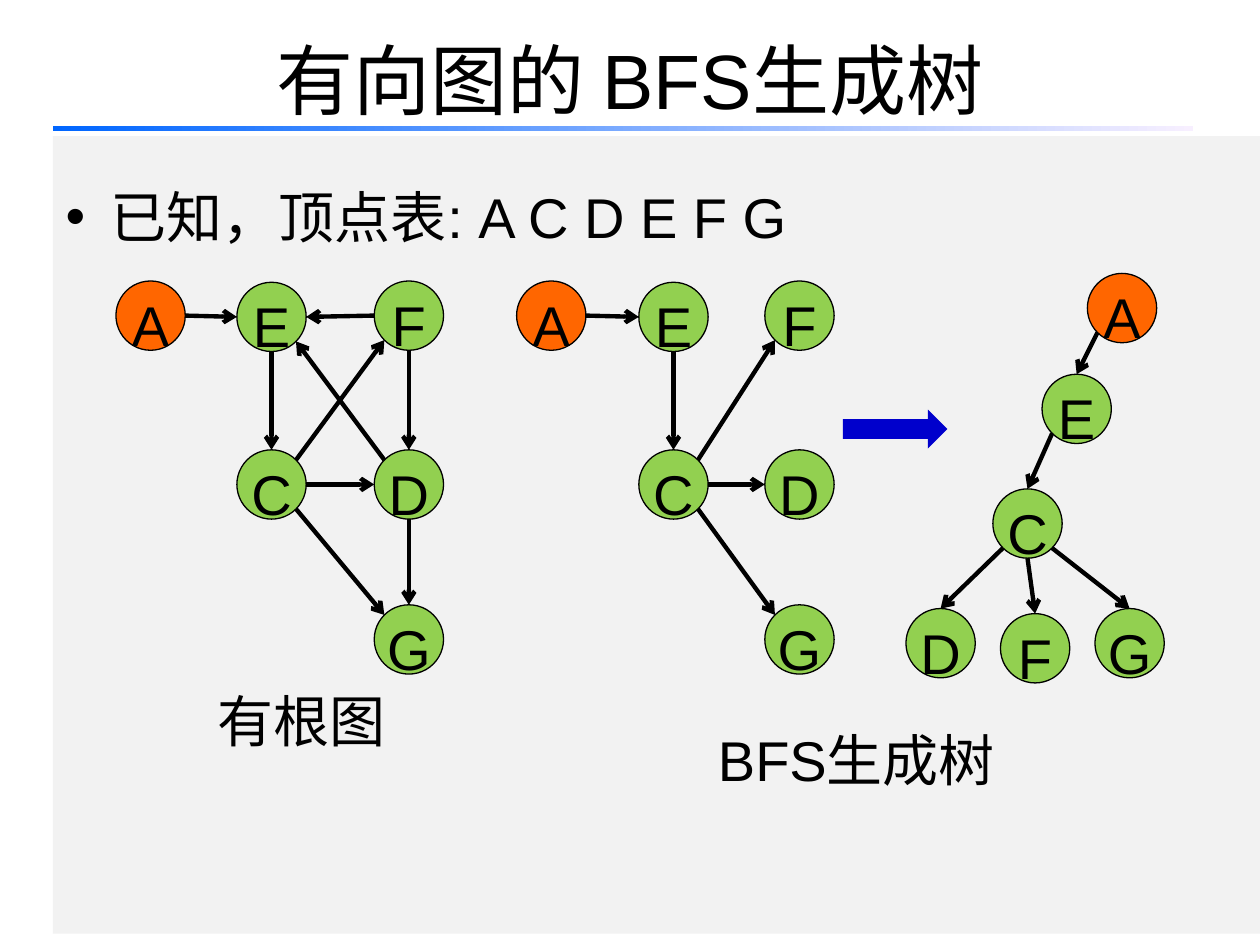
import math
from dataclasses import dataclass

from lxml import etree
from pptx import Presentation
from pptx.dml.color import RGBColor
from pptx.enum import shapes, text
from pptx.oxml import ns
from pptx.util import Inches, Pt


@dataclass(frozen=True)
class Theme:
    font: str = "Arial"
    title_size: float = 44
    body_size: float = 32
    ink: str = "000000"
    panel: str = "F2F2F2"
    root: str = "FF6600"
    vertex: str = "92D050"
    arrow: str = "0000CC"
    rule_start: str = "0066FF"
    rule_end: str = "F7EFFF"
    outline: float = 0.75
    edge: float = 2.5


THEME = Theme()
DIAMETER = 0.55
# Angle of each joint on a vertex, clockwise from the right
JOINTS = {"right": 0, "lower right": 45, "bottom": 90, "lower left": 135,
          "left": 180, "upper left": 225, "top": 270, "upper right": 315}

# Each graph: top left corner of every vertex, then edges with their joints
ROOTED_VERTICES = {"A": (0.92, 2.23), "E": (1.88, 2.24), "F": (2.97, 2.23),
                   "C": (1.88, 3.57), "D": (2.97, 3.57), "G": (2.97, 4.8)}
SPANNING_VERTICES = {"A": (4.1, 2.23), "E": (5.07, 2.24), "F": (6.07, 2.23),
                     "C": (5.07, 3.57), "D": (6.07, 3.57), "G": (6.07, 4.8)}
TREE_VERTICES = {"A": (8.63, 2.17), "E": (8.27, 2.97), "C": (7.88, 3.88),
                 "D": (7.19, 4.83), "F": (7.94, 4.87), "G": (8.69, 4.83)}
SPANNING_EDGES = [
    ("A", "right", "E", "left"),
    ("E", "bottom", "C", "top"),
    ("C", "right", "D", "left"),
    ("C", "upper right", "F", "lower left"),
    ("C", "lower right", "G", "upper left"),
]
ROOTED_EDGES = SPANNING_EDGES + [
    ("D", "upper left", "E", "lower right"),
    ("F", "left", "E", "right"),
    ("F", "bottom", "D", "top"),
    ("D", "bottom", "G", "top"),
]
TREE_EDGES = [
    ("A", "lower left", "E", "top"),
    ("E", "lower left", "C", "top"),
    ("C", "lower left", "D", "top"),
    ("C", "bottom", "F", "top"),
    ("C", "lower right", "G", "top"),
]


def color(value):
    return RGBColor.from_string(value)


def place(shape, left, top, width, height):
    shape.left, shape.top = Inches(left), Inches(top)
    shape.width, shape.height = Inches(width), Inches(height)


def write(frame, words, size=THEME.body_size, align=text.PP_ALIGN.LEFT,
          anchor=text.MSO_ANCHOR.TOP, spacing=1.25, wrap=True, bullet_indent=None):
    frame.word_wrap = wrap
    frame.vertical_anchor = anchor
    paragraph = frame.paragraphs[0]
    paragraph.alignment = align
    paragraph.line_spacing = spacing
    paragraph.space_before = Pt(0)
    if bullet_indent is not None:
        properties = paragraph._p.get_or_add_pPr()
        properties.set("marL", str(Inches(bullet_indent)))
        properties.set("indent", str(-Inches(bullet_indent)))
        etree.SubElement(properties, ns.qn("a:buChar"), char="•")
    run = paragraph.add_run()
    run.text = words
    run.font.name = THEME.font
    run.font.size = Pt(size)
    run.font.color.rgb = color(THEME.ink)


def add_block(slide, preset, left, top, width, height, fill=None):
    """Add a preset shape without outline or shadow."""
    block = slide.shapes.add_shape(preset, Inches(left), Inches(top),
                                   Inches(width), Inches(height))
    block.shadow.inherit = False
    block.line.fill.background()
    if fill:
        block.fill.solid()
        block.fill.fore_color.rgb = color(fill)
    return block


def add_title_rule(slide):
    rule = add_block(slide, shapes.MSO_SHAPE.RECTANGLE, 0.42, 1, 9.05, 0.04)
    rule.fill.gradient()
    rule.fill.gradient_angle = 0
    ends = [(0, THEME.rule_start), (1, THEME.rule_end)]
    for stop, (position, value) in zip(rule.fill.gradient_stops, ends):
        stop.position = position
        stop.color.rgb = color(value)


def add_vertex(slide, name, corner):
    fill = THEME.root if name == "A" else THEME.vertex
    vertex = add_block(slide, shapes.MSO_SHAPE.OVAL, *corner, DIAMETER, DIAMETER, fill)
    vertex.line.color.rgb = color(THEME.ink)
    vertex.line.width = Pt(THEME.outline)
    write(vertex.text_frame, name, align=text.PP_ALIGN.CENTER,
          anchor=text.MSO_ANCHOR.MIDDLE, wrap=False)


def joint_point(corner, joint):
    angle = math.radians(JOINTS[joint])
    radius = DIAMETER / 2
    return (Inches(corner[0] + radius + radius * math.cos(angle)),
            Inches(corner[1] + radius + radius * math.sin(angle)))


def add_edge(slide, start, end):
    edge = slide.shapes.add_connector(shapes.MSO_CONNECTOR.STRAIGHT, *start, *end)
    edge.line.color.rgb = color(THEME.ink)
    edge.line.width = Pt(THEME.edge)
    etree.SubElement(edge.line._get_or_add_ln(), ns.qn("a:tailEnd"), type="arrow")
    etree.SubElement(edge._element.spPr, ns.qn("a:effectLst"))


def add_graph(slide, vertices, edges):
    for name, corner in vertices.items():
        add_vertex(slide, name, corner)
    for source, leaving, target, entering in edges:
        add_edge(slide, joint_point(vertices[source], leaving),
                 joint_point(vertices[target], entering))


def add_caption(slide, words, left, top, width, height):
    caption = slide.shapes.add_textbox(Inches(left), Inches(top),
                                       Inches(width), Inches(height))
    write(caption.text_frame, words)
    caption.text_frame.auto_size = text.MSO_AUTO_SIZE.SHAPE_TO_FIT_TEXT


def fill_placeholders(slide):
    title, body = slide.placeholders
    place(title, 0.5, 0, 9, 1.25)
    write(title.text_frame, "有向图的 BFS生成树", size=THEME.title_size, spacing=1,
          align=text.PP_ALIGN.CENTER, anchor=text.MSO_ANCHOR.MIDDLE)
    place(body, 0.42, 1.08, 9.58, 6.33)
    body.fill.solid()
    body.fill.fore_color.rgb = color(THEME.panel)
    write(body.text_frame, "已知，顶点表: A C D E F G", spacing=1.6, bullet_indent=0.36)


def main():
    deck = Presentation()
    deck.slide_width, deck.slide_height = Inches(10), Inches(7.5)
    slide = deck.slides.add_slide(deck.slide_layouts[1])
    fill_placeholders(slide)
    add_title_rule(slide)
    add_graph(slide, ROOTED_VERTICES, ROOTED_EDGES)
    add_graph(slide, SPANNING_VERTICES, SPANNING_EDGES)
    add_graph(slide, TREE_VERTICES, TREE_EDGES)
    add_caption(slide, "有根图", 1.63, 5.27, 2.17, 0.7)
    add_caption(slide, "BFS生成树", 5.6, 5.58, 2.5, 0.77)
    add_block(slide, shapes.MSO_SHAPE.RIGHT_ARROW, 6.69, 3.25, 0.83, 0.31, THEME.arrow)
    deck.save("out.pptx")


if __name__ == "__main__":
    main()
